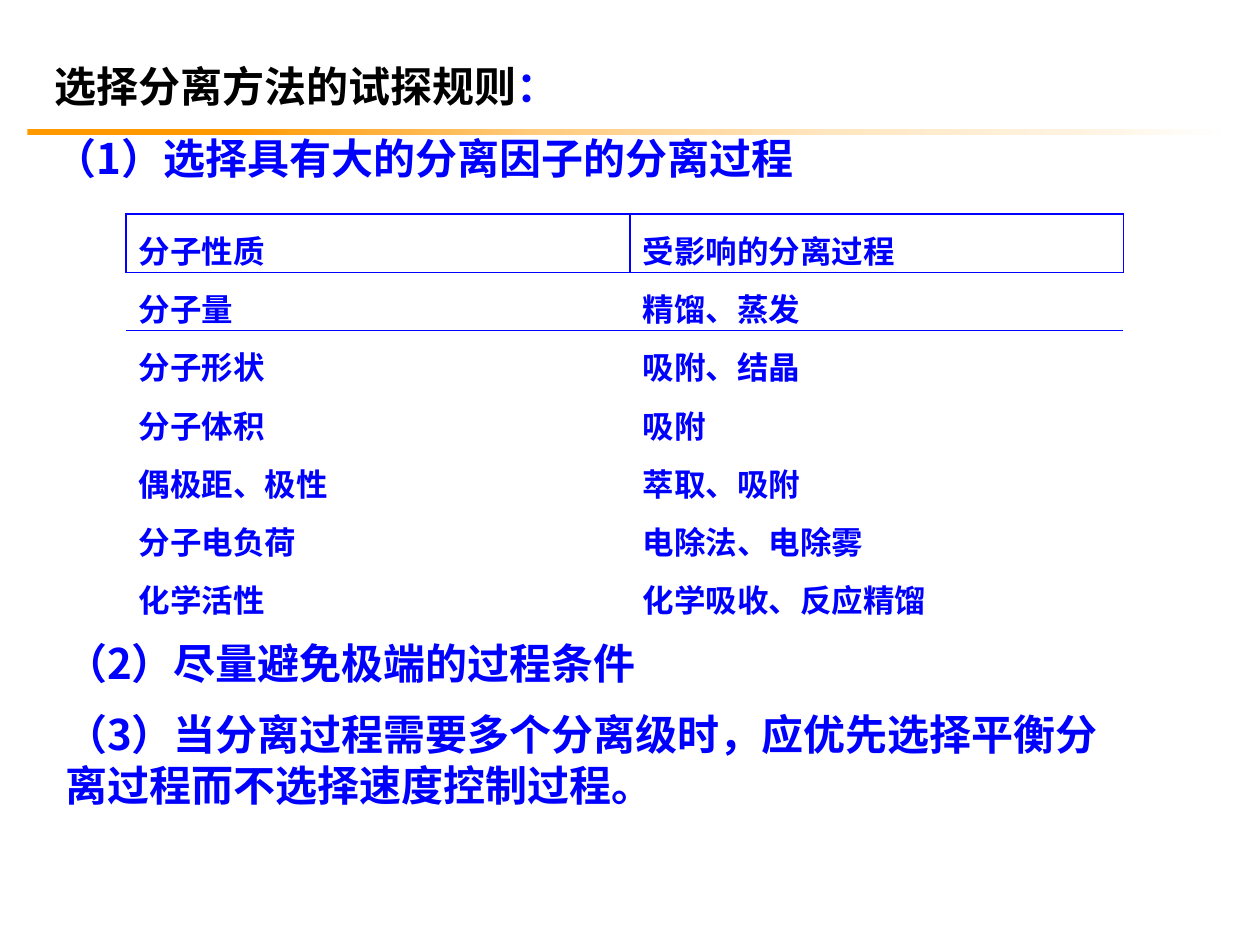
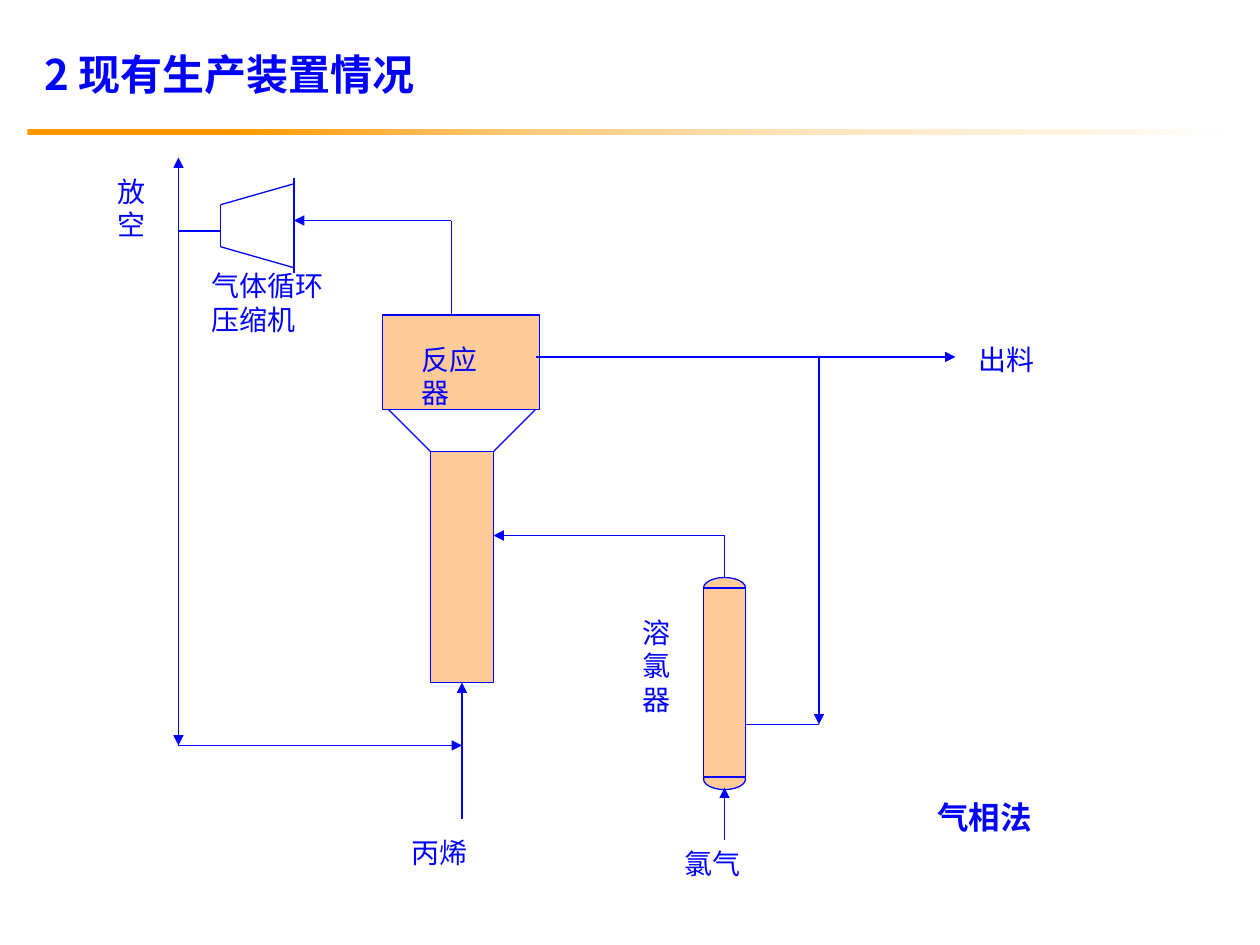
from lxml import etree
from pptx import Presentation
from pptx import util as u
from pptx.dml.color import RGBColor
from pptx.enum import shapes, text
from pptx.oxml import parse_xml
from pptx.oxml.ns import nsdecls, qn

COLS, ROWS = 120, 90  # slide grid, twelve units to the inch
BLUE, BLACK, PEACH = "0000FF", "000000", "FFCC99"
HEAD_FONT, LABEL_FONT, NOTE_FONT = "Noto Sans CJK SC", "Times New Roman", "Arial"
BAND_STOPS = [(17, "FF9900"), (43, "FFCC80"), (67, "FFE6C0"), (87, "FFF3E0"), (100, "FFFFFF")]
NO_STYLE_TABLE = "{2D5ABB26-0587-4C30-8999-92F81FD0307C}"

PROPERTIES = [
    ("分子性质", "受影响的分离过程"),
    ("分子量", "精馏、蒸发"),
    ("分子形状", "吸附、结晶"),
    ("分子体积", "吸附"),
    ("偶极距、极性", "萃取、吸附"),
    ("分子电负荷", "电除法、电除雾"),
    ("化学活性", "化学吸收、反应精馏"),
]
# Corner points of each line, in grid units
OUTLINES = [
    [(37, 39), (41, 43)], [(51, 39), (47, 43)],  # reactor cone
    [(21, 19.5), (21, 23.5)], [(28, 17), (28, 26)],  # compressor
    [(28, 17.5), (21, 19.5)], [(21, 23.5), (28, 25.5)],
    [(17, 22), (21, 22)],
]
FLOWS = [
    [(44, 78), (44, 65)],
    [(17, 22), (17, 71)],
    [(17, 22), (17, 15)],
    [(17, 71), (44, 71)],
    [(43, 30), (43, 21), (28, 21)],
    [(69, 80), (69, 75)],
    [(51, 34), (91, 34)],
    [(78, 34), (78, 69)],
    [(69, 55), (69, 51), (47, 51)],
]
VESSELS = [
    ("RECTANGLE", 41, 43, 6, 22),
    ("RECTANGLE", 36.4, 30, 15, 9),
    ("OVAL", 67, 55, 4, 2),
    ("OVAL", 67, 73.2, 4, 2),
    ("RECTANGLE", 67, 56, 4, 18),
]
LABELS = [
    ("气体循环压缩机", 19, 25, 15, 7.7),
    ("反应器", 39, 32, 10, 7.7),
    ("溶氯器", 60, 58, 5, 10.8),
    ("氯气", 64, 80, 11, 4.4),
    ("丙烯", 38, 79, 11, 4.4),
    ("出料", 92, 32, 8, 4.4),
    ("放空", 10, 16, 5, 7.7),
]


def grid(*units):
    return [u.Emu(round(n * u.Inches(10) / COLS)) for n in units]


def rgb(color):
    return RGBColor.from_string(color)


def add_run(p, words, size=24, font=HEAD_FONT, color=BLUE, bold=True):
    r = p.add_run()
    r.text = words
    f = r.font
    f.size, f.name, f.bold = u.Pt(size), font, bold
    f.color.rgb = rgb(color)
    if font == HEAD_FONT:
        ea = etree.SubElement(r._r.get_or_add_rPr(), qn("a:ea"))
        ea.set("typeface", font)


def write(tf, paragraphs, wrap=True, **fmt):
    """Fill a frame with paragraphs, each a string or a list of (words, format) runs."""
    tf.word_wrap = wrap
    tf.auto_size = text.MSO_AUTO_SIZE.NONE
    tf.vertical_anchor = text.MSO_ANCHOR.TOP
    for i, runs in enumerate(paragraphs):
        p = tf.add_paragraph() if i else tf.paragraphs[0]
        p.alignment = text.PP_ALIGN.LEFT
        p.space_before = u.Pt(12 if i else 0)
        for words, extra in [(runs, {})] if isinstance(runs, str) else runs:
            add_run(p, words, **{**fmt, **extra})


def fill_placeholder(sp, place, paragraphs):
    sp.left, sp.top, sp.width, sp.height = grid(*place)
    write(sp.text_frame, paragraphs)
    for p in sp.text_frame.paragraphs:
        pPr = p._p.get_or_add_pPr()
        pPr.set("marL", "0")
        pPr.set("indent", "0")
        etree.SubElement(pPr, qn("a:buNone"))


def add_label(slide, words, *place, wrap=True, **fmt):
    write(slide.shapes.add_textbox(*grid(*place)).text_frame, [words], wrap, **fmt)


def add_vessel(slide, kind, *place):
    sp = slide.shapes.add_shape(shapes.MSO_SHAPE[kind], *grid(*place))
    sp.shadow.inherit = False
    sp.fill.solid()
    sp.fill.fore_color.rgb = rgb(PEACH)
    sp.line.color.rgb = rgb(BLUE)
    sp.line.width = u.Pt(0.75)


def add_pipe(slide, points, arrow=False):
    """Join the points with straight lines; an arrow goes on the last one."""
    for start, end in zip(points, points[1:]):
        line = slide.shapes.add_connector(shapes.MSO_CONNECTOR.STRAIGHT, *grid(*start, *end))
        line.line.color.rgb = rgb(BLUE)
        line.line.width = u.Pt(0.75)
        if arrow and end == points[-1]:
            etree.SubElement(line.line._get_or_add_ln(), qn("a:tailEnd")).set("type", "triangle")
        etree.SubElement(line._element.spPr, qn("a:effectLst"))


def border(cell, sides):
    tcPr = cell._tc.get_or_add_tcPr()
    for i, side in enumerate(sides):
        tcPr.insert(i, parse_xml(
            f'<a:ln{side} w="12700" {nsdecls("a")}><a:solidFill>'
            f'<a:srgbClr val="{BLUE}"/></a:solidFill></a:ln{side}>'))


def add_property_table(slide, left, top, widths, row_height):
    frame = slide.shapes.add_table(len(PROPERTIES), len(widths), *grid(
        left, top, sum(widths), row_height * len(PROPERTIES)))
    table = frame.table
    table.first_row = table.horz_banding = False
    table._tbl.tblPr.find(qn("a:tableStyleId")).text = NO_STYLE_TABLE
    for column, width in zip(table.columns, grid(*widths)):
        column.width = width
    for i, row in enumerate(PROPERTIES):
        for j, words in enumerate(row):
            cell = table.cell(i, j)
            cell.fill.background()
            cell.margin_top, cell.margin_bottom = u.Inches(0.1), 0
            add_run(cell.text_frame.paragraphs[0], words, size=18)
            border(cell, "LRTB" if i == 0 else "T" if i == 1 else "")


def add_master_band(prs, slide):
    """Draw the fading band and move it to the master, so every slide shows it."""
    sp = slide.shapes.add_shape(shapes.MSO_SHAPE.RECTANGLE, *grid(2.6, 12.25, 114.6, 0.6))
    sp.shadow.inherit = False
    sp.line.fill.background()
    stops = "".join(f'<a:gs pos="{pos * 1000}"><a:srgbClr val="{color}"/></a:gs>'
                    for pos, color in BAND_STOPS)
    sp._element.spPr.find(qn("a:prstGeom")).addnext(parse_xml(
        f'<a:gradFill {nsdecls("a")}><a:gsLst>{stops}</a:gsLst><a:lin ang="0"/></a:gradFill>'))
    prs.slide_master.shapes._spTree.append(sp._element)


def build_rules(prs):
    slide = prs.slides.add_slide(prs.slide_layouts.get_by_name("Two Content"))
    add_master_band(prs, slide)
    title, first_rule, other_rules = slide.placeholders
    fill_placeholder(title, (4, 5.2, 110, 6),
                     [[("选择分离方法的试探规则", {"color": BLACK}), ("：", {})]])
    fill_placeholder(first_rule, (4, 12, 110, 6), ["（1）选择具有大的分离因子的分离过程"])
    add_property_table(slide, 12, 20.4, (48, 47), 4.8)
    fill_placeholder(other_rules, (5, 60.1, 104, 18), [
        "（2）尽量避免极端的过程条件",
        "（3）当分离过程需要多个分离级时，应优先选择平衡分离过程而不选择速度控制过程。",
    ])


def build_plant(prs):
    slide = prs.slides.add_slide(prs.slide_layouts.get_by_name("Title Only"))
    fill_placeholder(slide.shapes.title, (3, 4, 110, 6), ["2 现有生产装置情况"])
    for vessel in VESSELS:
        add_vessel(slide, *vessel)
    for points in OUTLINES + [[(78, 69), (71, 69)]]:
        add_pipe(slide, points)
    for points in FLOWS:
        add_pipe(slide, points, arrow=True)
    for label in LABELS:
        add_label(slide, *label, size=16, font=LABEL_FONT, bold=False)
    add_label(slide, "气相法", 88.1, 75.4, 11.4, 4.8, wrap=False, size=18, font=NOTE_FONT)


def main():
    prs = Presentation()
    prs.slide_width, prs.slide_height = grid(COLS, ROWS)
    build_rules(prs)
    build_plant(prs)
    prs.save("out.pptx")


if __name__ == "__main__":
    main()
